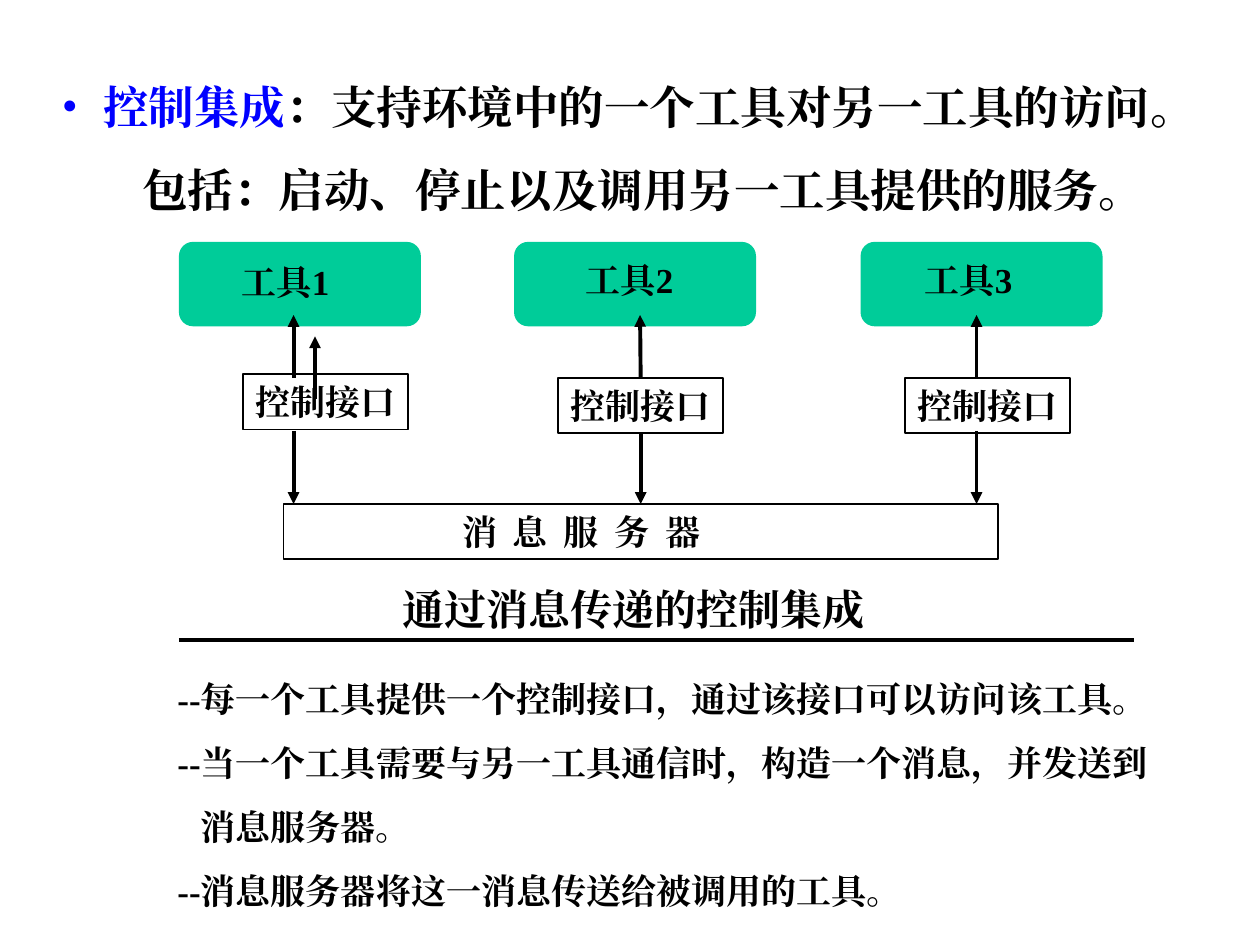
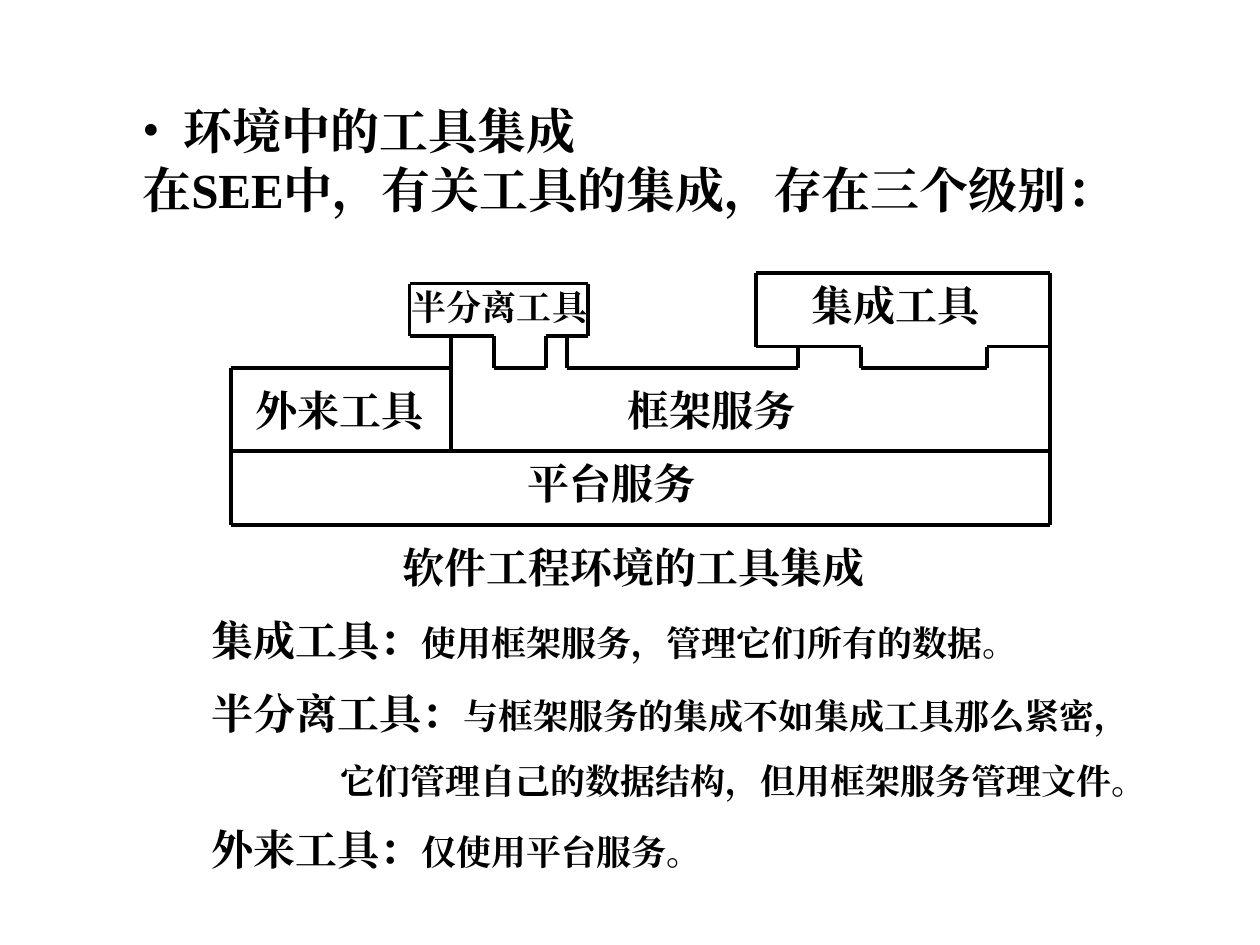
import itertools
import pptx
import pptx.util
import pptx.dml.color
import pptx.enum.dml
import pptx.enum.lang
import pptx.enum.shapes
import pptx.enum.text
import pptx.oxml
import pptx.oxml.ns
from lxml import etree

Inches, Pt = pptx.util.Inches, pptx.util.Pt
qn = pptx.oxml.ns.qn
SHAPE = pptx.enum.shapes.MSO_SHAPE
BLACK = pptx.dml.color.RGBColor(0, 0, 0)
BLUE = pptx.dml.color.RGBColor(0, 0, 255)
GREEN = pptx.dml.color.RGBColor(0, 204, 153)
FONT = "Times New Roman"
TITLE_LAYOUT = 5


def format_run(r, size, color=BLACK, spacing=0):
    """Apply the shared bold face to one run."""
    r.font.size, r.font.bold, r.font.name = Pt(size), True, FONT
    r.font.color.rgb = color
    r.font.language_id = pptx.enum.lang.MSO_LANGUAGE_ID.SIMPLIFIED_CHINESE
    rPr = r.font._element
    rPr.find(qn("a:latin")).addnext(
        rPr.makeelement(qn("a:ea"), {"typeface": FONT}))
    if spacing:
        rPr.set("spc", str(spacing * 100))


def add_bullet(p, margin, hang):
    """Give a paragraph a round bullet with a hanging indent."""
    pPr = p._p.get_or_add_pPr()
    pPr.set("marL", str(Inches(margin)))
    pPr.set("indent", str(-Inches(hang)))
    etree.SubElement(pPr, qn("a:buFont"), typeface=FONT)
    etree.SubElement(pPr, qn("a:buChar"), char="•")


def write_text(sp, *paragraphs, size=20, before=12.5, wrap=False, indents=None,
               bullet=None, spacing=0):
    """Fill a shape with paragraphs, each a string or a list of (text, format) runs."""
    tf = sp.text_frame
    tf.word_wrap = wrap
    tf.auto_size = pptx.enum.text.MSO_AUTO_SIZE.NONE
    tf.vertical_anchor = pptx.enum.text.MSO_ANCHOR.TOP
    tf.margin_left = tf.margin_right = Inches(0.1)
    tf.margin_top = tf.margin_bottom = Inches(0.05)
    for i, runs in enumerate(paragraphs):
        p = tf.add_paragraph() if i else tf.paragraphs[0]
        p.alignment = pptx.enum.text.PP_ALIGN.LEFT
        p.space_before = Pt(before if i else 0)
        if bullet and i == 0:
            add_bullet(p, *bullet)
        elif indents and i in indents:
            p._p.get_or_add_pPr().set("marL", str(Inches(indents[i])))
        for text, style in [(runs, {})] if isinstance(runs, str) else runs:
            r = p.add_run()
            r.text = text
            format_run(r, **{"size": size, "spacing": spacing, **style})


def add_label(slide, box, *paragraphs, **style):
    """Add a text box at the given left, top, width, height."""
    sp = slide.shapes.add_textbox(*map(Inches, box))
    write_text(sp, *paragraphs, **style)


def add_box(slide, box, preset=SHAPE.RECTANGLE, fill=None):
    """Add a filled shape, or an outlined one when no fill is given."""
    sp = slide.shapes.add_shape(preset, *map(Inches, box))
    sp.shadow.inherit = False
    if fill is None:
        sp.fill.background()
        sp.line.color.rgb, sp.line.width = BLACK, Pt(1)
    else:
        sp.fill.solid()
        sp.fill.fore_color.rgb = fill
        sp.line.fill.background()
    return sp


def add_line(slide, start, end, arrow=None):
    """Draw a black line; arrow is headEnd, tailEnd or None."""
    c = slide.shapes.add_connector(pptx.enum.shapes.MSO_CONNECTOR.STRAIGHT,
                                   *map(Inches, (*start, *end)))
    c.line.color.rgb, c.line.width = BLACK, Pt(2.25)
    if arrow:
        etree.SubElement(c.line._get_or_add_ln(), qn(f"a:{arrow}"), type="triangle")
    etree.SubElement(c._element.spPr, qn("a:effectLst"))
    return c


def add_slide(prs, box, *paragraphs, **style):
    """Add a slide whose title placeholder holds the heading."""
    slide = prs.slides.add_slide(prs.slide_layouts[TITLE_LAYOUT])
    sp = slide.shapes.title
    sp.left, sp.top, sp.width, sp.height = map(Inches, box)
    write_text(sp, *paragraphs, wrap=True, **style)
    return slide


def add_caption(slide, top, text):
    """Place a figure caption."""
    add_label(slide, (3.1, top, 3.86, 0.5), text, size=24)


def draw_message_passing(slide, left, top):
    """Draw the tools, their control interfaces and the message server."""
    server = add_box(slide, (left + 0.83, top + 2.08, 5.67, 0.44))
    write_text(server, "消息服务器", spacing=9, indents={0: 1.32})
    columns = [(0, 0.4, 0.1, 0.51, 1.05, 0.91), (2.66, 3.13, 0.08, 3.01, 1.08, 3.66),
               (5.41, 5.82, 0.08, 5.76, 1.08, 6.33)]
    for n, (tool, name, name_top, port, port_top, axis) in enumerate(columns, 1):
        add_box(slide, (left + tool, top, 1.92, 0.67),
                SHAPE.FLOWCHART_ALTERNATE_PROCESS, GREEN)
        add_label(slide, (left + name, top + name_top, 0.96, 0.44), f"工具{n}")
        interface = add_box(slide, (left + port, top + port_top, 1.31, 0.44))
        write_text(interface, "控制接口")
        x = left + axis
        up = add_line(slide, (x, top + 0.58), (x, top + 1.08), "headEnd")
        down = add_line(slide, (x, top + 1.5), (x, top + 2.08), "tailEnd")
        if n == 2:
            up.end_connect(interface, 0)
            down.begin_connect(interface, 2)
            down.end_connect(server, 0)
    add_line(slide, (left + 1.08, top + 0.75), (left + 1.08, top + 1.25), "headEnd")


def draw_integration_levels(slide, left, top):
    """Draw the outlines and names of the tool integration levels."""
    outlines = [
        [(0, 0.75), (0, 2), (6.5, 2), (6.5, 0), (4.17, 0), (4.17, 0.58), (5, 0.58),
         (5, 0.75), (6, 0.75), (6, 0.58), (6.5, 0.58)],
        [(0, 1.41), (6.5, 1.41)],
        [(0, 0.75), (1.75, 0.75)],
        [(1.75, 0.5), (1.75, 1.41)],
        [(1.42, 0.5), (2.09, 0.5), (2.09, 0.75), (2.5, 0.75), (2.5, 0.5), (2.84, 0.5),
         (2.84, 0.08), (1.42, 0.08), (1.42, 0.5)],
        [(2.67, 0.5), (2.67, 0.75), (4.5, 0.75), (4.5, 0.58)],
    ]
    for points in outlines:
        for start, end in itertools.pairwise((left + x, top + y) for x, y in points):
            add_line(slide, start, end)
    names = [("平台服务", 2.26, 1.41, 24), ("外来工具", 0.1, 0.83, 24),
             ("半分离工具", 1.34, 0.05, 20), ("框架服务", 3.05, 0.83, 24),
             ("集成工具", 4.51, 0, 24)]
    for text, x, y, size in names:
        add_label(slide, (left + x, top + y, 1.55, 0.5), text, size=size)


def build_control_slide(prs):
    """Build the control integration slide."""
    slide = add_slide(prs, (0.28, 0.58, 10.11, 1.19),
                      [("控制集成", {"color": BLUE}),
                       ("：支持环境中的一个工具对另一工具的访问。", {})],
                      "包括：启动、停止以及调用另一工具提供的服务。",
                      size=26, before=16.2, bullet=(0.44, 0.33), indents={1: 0.75})
    draw_message_passing(slide, 1.42, 1.92)
    add_caption(slide, 4.58, "通过消息传递的控制集成")
    add_line(slide, (1.42, 5.08), (9, 5.08))
    add_label(slide, (1.31, 5.33, 7.96, 1.96),
              "--每一个工具提供一个控制接口，通过该接口可以访问该工具。",
              "--当一个工具需要与另一工具通信时，构造一个消息，并发送到",
              "消息服务器。",
              "--消息服务器将这一消息传送给被调用的工具。", indents={2: 0.18})


def build_levels_slide(prs):
    """Build the tool integration levels slide."""
    slide = add_slide(prs, (1.03, 0.75, 8.25, 1.04), "环境中的工具集成",
                      "在SEE中，有关工具的集成，存在三个级别：",
                      size=28, before=0, bullet=(0.33, 0.33))
    draw_integration_levels(slide, 1.83, 2.17)
    add_caption(slide, 4.25, "软件工程环境的工具集成")
    term = {"size": 24}
    add_label(slide, (1.58, 4.83, 7.75, 2.49),
              [("集成工具：", term), ("使用框架服务，管理它们所有的数据。", {})],
              [("半分离工具：", term), ("与框架服务的集成不如集成工具那么紧密，", {})],
              "它们管理自己的数据结构，但用框架服务管理文件。",
              [("外来工具：", term), ("仅使用平台服务。", {})],
              wrap=True, indents={2: 1.02})


def main():
    """Build and save the presentation."""
    prs = pptx.Presentation()
    prs.slide_width, prs.slide_height = Inches(10), Inches(7.5)
    build_control_slide(prs)
    build_levels_slide(prs)
    prs.save("out.pptx")


if __name__ == "__main__":
    main()
